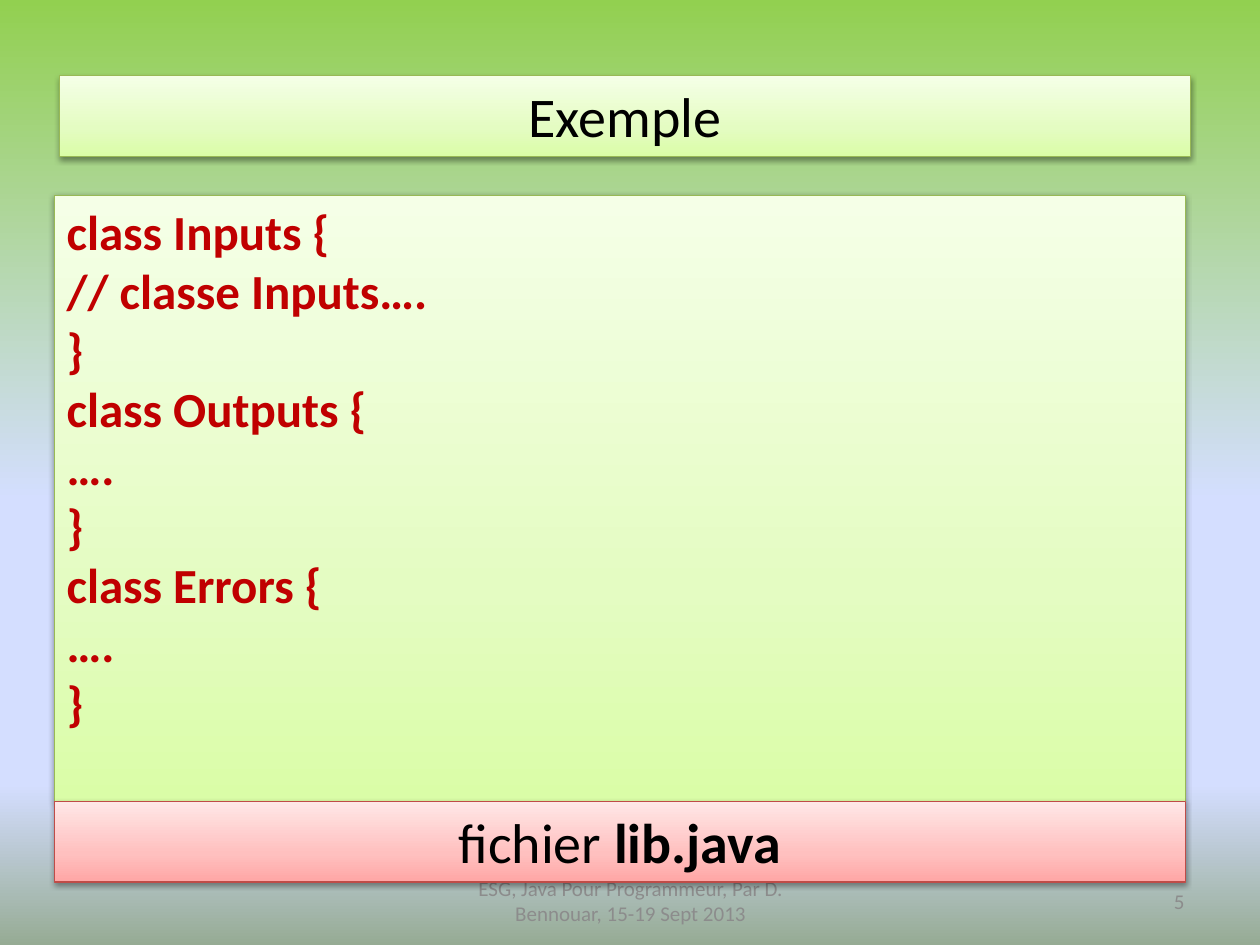
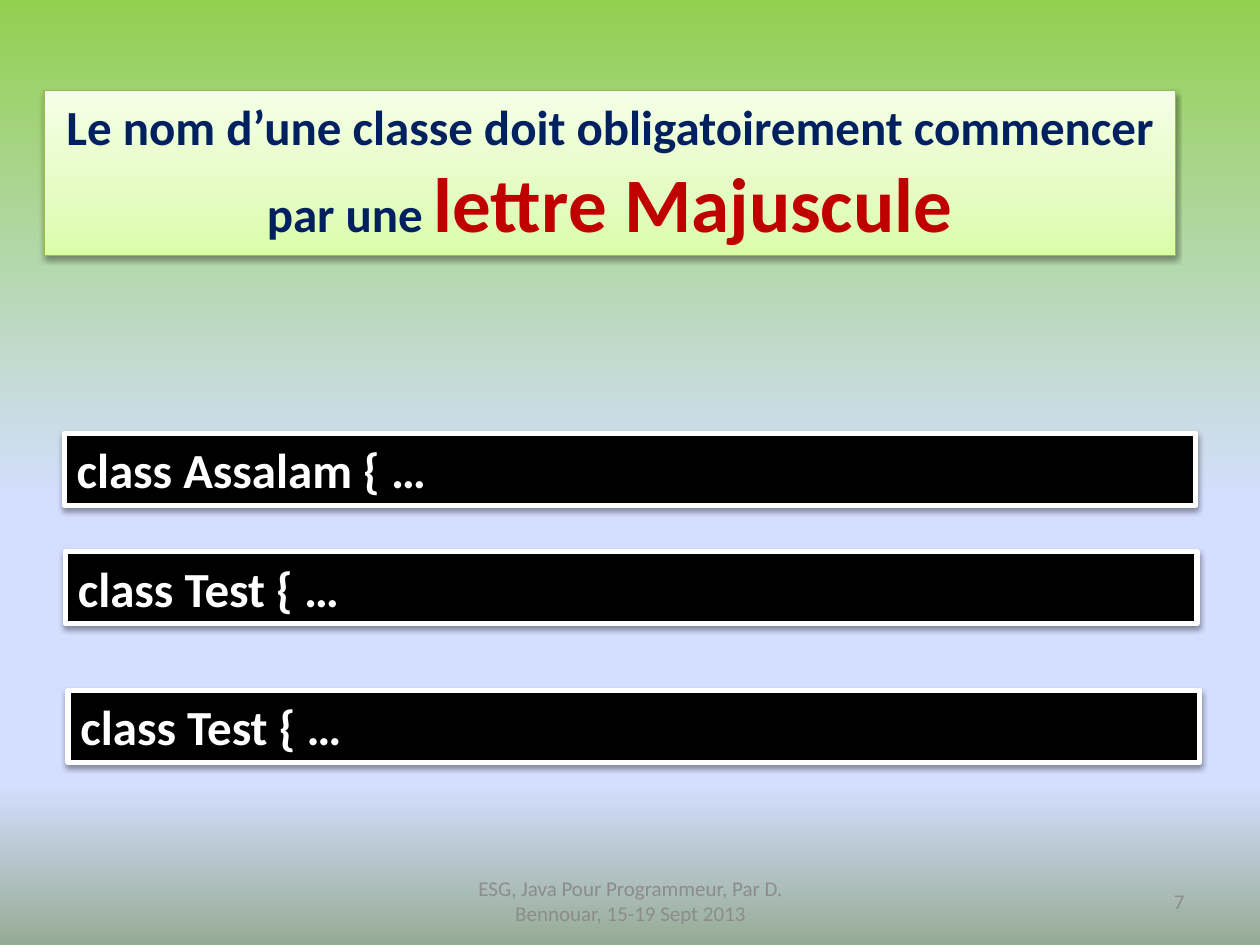
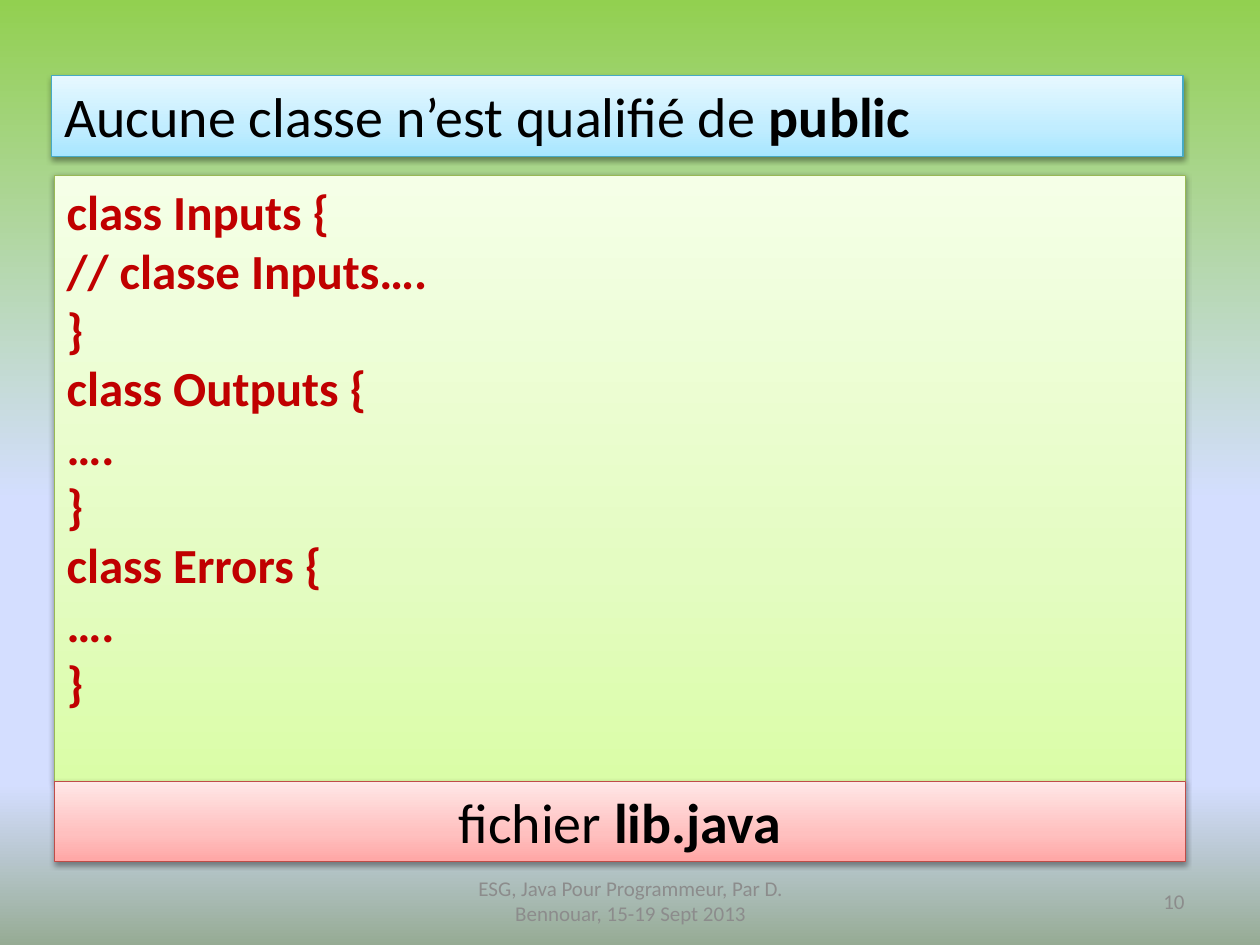
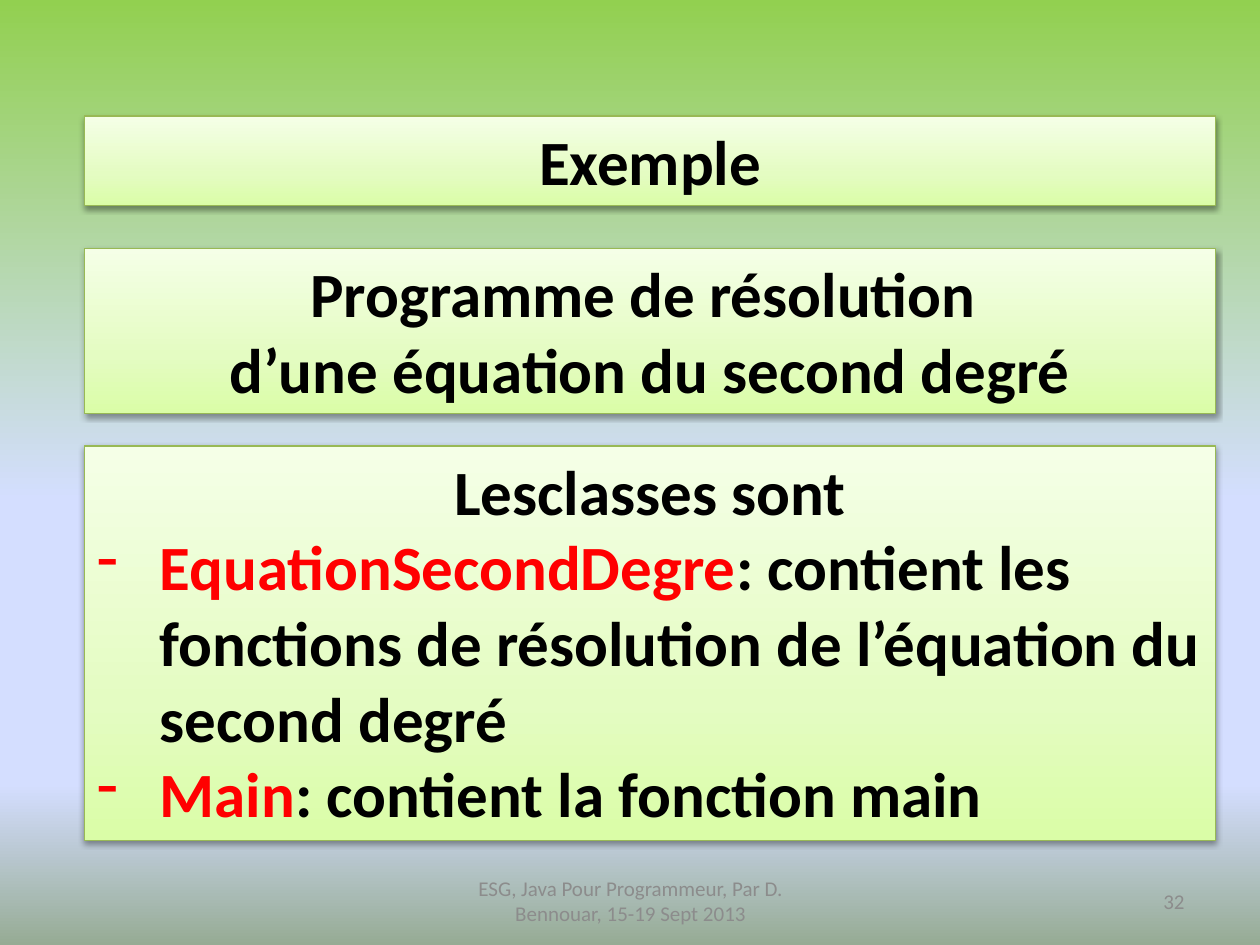
import pptx
import pptx.dml.color
import pptx.enum.shapes
import pptx.enum.text
import pptx.oxml
import pptx.oxml.ns
import pptx.util
from lxml import etree

Inches, Pt = pptx.util.Inches, pptx.util.Pt
RGBColor = pptx.dml.color.RGBColor
Align = pptx.enum.text.PP_ALIGN
Anchor = pptx.enum.text.MSO_ANCHOR
AutoSize = pptx.enum.text.MSO_AUTO_SIZE
qn = pptx.oxml.ns.qn

FONT = "Calibri"
FOOTER = "ESG, Java Pour Programmeur, Par D. Bennouar, 15-19 Sept 2013"
BOX_WIDTH = 8.98
COLORS = {
    "black": "000000", "white": "FFFFFF", "grey": "8C8C8C", "navy": "002060",
    "dark_red": "C00000", "red": "FF0000",
    "green_line": "98B955", "pink_line": "BF4C48", "blue_line": "46AAC5",
}
# Gradient stops: position in percent, colour
BACKGROUND = [(0, "92D050"), (53, "D4DEFF"), (83, "D4DEFF"), (100, "96AB94")]
# Box style: gradient stops (None for solid black), line colour, line width
STYLES = {
    "green": ([(0, "DAFDA7"), (35, "E4FCC2"), (100, "F5FFE7")], "green_line", 0.75),
    "pink": ([(0, "FFA6A5"), (35, "FFC0BF"), (100, "FFE7E7")], "pink_line", 0.75),
    "blue": ([(0, "A7E6FF"), (35, "C1EDFF"), (100, "E7F8FF")], "blue_line", 0.75),
    "black": (None, "white", 3),
}
SHADOW = (
    '<a:outerShdw xmlns:a="http://schemas.openxmlformats.org/drawingml/2006/main" '
    'blurRad="40000" dist="20000" dir="5400000" rotWithShape="0">'
    '<a:srgbClr val="000000"><a:alpha val="38000"/></a:srgbClr></a:outerShdw>'
)


def set_gradient(fill, element, stops, angle):
    """Fill with the stops; the angle runs counter-clockwise."""
    fill.gradient()
    fill.gradient_angle = angle
    stop_list = next(element.iter(qn("a:gsLst")))
    for stop in list(stop_list):
        stop_list.remove(stop)
    for position, color in stops:
        stop = etree.SubElement(stop_list, qn("a:gs"), pos=str(position * 1000))
        etree.SubElement(stop, qn("a:srgbClr"), val=color)


def write_text(shape, paragraphs, size, color="black", bold=False,
               align=Align.LEFT, anchor=Anchor.TOP):
    """Write paragraphs, each a string or a list of (text, run changes)."""
    frame = shape.text_frame
    frame.word_wrap = True
    frame.vertical_anchor = anchor
    for index, runs in enumerate(paragraphs):
        paragraph = frame.add_paragraph() if index else frame.paragraphs[0]
        bulleted = isinstance(runs, tuple)
        paragraph.alignment = Align.LEFT if bulleted else align
        if bulleted:
            properties = paragraph._p.get_or_add_pPr()
            properties.set("marL", str(Inches(0.5)))
            properties.set("indent", str(-Inches(0.5)))
            etree.SubElement(properties, qn("a:buChar"), char="-")
        paragraph.font.name = FONT
        paragraph.font.size = Pt(size)
        paragraph.font.bold = bold
        paragraph.font.color.rgb = RGBColor.from_string(COLORS[color])
        for text, changes in [(runs, {})] if isinstance(runs, str) else runs:
            run = paragraph.add_run()
            run.text = text
            if "size" in changes:
                run.font.size = Pt(changes["size"])
            if "bold" in changes:
                run.font.bold = changes["bold"]
            if "color" in changes:
                run.font.color.rgb = RGBColor.from_string(COLORS[changes["color"]])


# Text shared by the boxes
code_lines = ["class Inputs {", "// classe Inputs….", "}",
              "class Outputs {", "….", "}",
              "class Errors {", "….", "}"]
file_label = [[("fichier ", {}), ("lib.java", {"bold": True})]]
code_font = {"size": 28, "color": "dark_red", "bold": True}
bar_font = {"size": 28, "color": "white", "bold": True}
label_font = {"size": 32, "align": Align.CENTER}
heading_font = {"size": 36, "bold": True, "align": Align.CENTER}

# Slides: number, then boxes as left, top, height, style, paragraphs, font
slides = [
    (5, [
        (0.47, 0.6, 0.64, "green", ["Exemple"], label_font),
        (0.43, 1.55, 4.81, "green", code_lines, code_font),
        (0.43, 6.36, 0.64, "pink", file_label, label_font),
    ]),
    (7, [
        (0.35, 0.72, 1.31, "green",
         [[("Le nom d’une classe doit obligatoirement commencer par une ", {}),
           ("lettre Majuscule", {"size": 44, "color": "dark_red"})]],
         {"size": 28, "color": "navy", "bold": True, "align": Align.CENTER}),
        (0.51, 3.44, 0.57, "black", ["class Assalam { …"], bar_font),
        (0.52, 4.38, 0.57, "black", ["class Test { …"], bar_font),
        (0.54, 5.48, 0.57, "black", ["class Test { …"], bar_font),
    ]),
    (10, [
        (0.43, 1.39, 4.81, "green", code_lines, code_font),
        (0.43, 6.2, 0.64, "pink", file_label, label_font),
        (0.41, 0.6, 0.64, "blue",
         [[("Aucune classe n’est qualifié de ", {}), ("public", {"bold": True})]],
         {"size": 32}),
    ]),
    (32, [
        (0.67, 0.92, 0.71, "green", ["Exemple"], heading_font),
        (0.67, 1.97, 1.31, "green",
         ["Programme de résolution ", "d’une équation du second degré"], heading_font),
        # Tuples of runs are bulleted paragraphs
        (0.67, 3.54, 3.13, "green",
         ["Lesclasses sont",
          (("EquationSecondDegre", {"color": "red"}),
           (": contient les fonctions de résolution de l’équation du second degré", {})),
          (("Main", {"color": "red"}), (": contient la fonction main", {}))],
         heading_font),
    ]),
]

presentation = pptx.Presentation()
presentation.slide_width = Inches(10)
presentation.slide_height = Inches(7.5)

for number, boxes in slides:
    slide = presentation.slides.add_slide(presentation.slide_layouts[6])
    set_gradient(slide.background.fill, slide.element, BACKGROUND, 270)

    # Footer and slide number
    for left, width, text, align in [(3.42, 3.17, FOOTER, Align.CENTER),
                                     (7.17, 2.33, str(number), Align.RIGHT)]:
        footer = slide.shapes.add_textbox(
            Inches(left), Inches(6.95), Inches(width), Inches(0.4))
        write_text(footer, [text], 12, "grey", align=align, anchor=Anchor.MIDDLE)

    # Boxes
    for left, top, height, style, paragraphs, font in boxes:
        stops, line_color, line_width = STYLES[style]
        box = slide.shapes.add_shape(
            pptx.enum.shapes.MSO_SHAPE.RECTANGLE,
            Inches(left), Inches(top), Inches(BOX_WIDTH), Inches(height))
        if stops:
            set_gradient(box.fill, box.element, stops, 90)
        else:
            box.fill.solid()
            box.fill.fore_color.rgb = RGBColor.from_string(COLORS["black"])
        box.line.color.rgb = RGBColor.from_string(COLORS[line_color])
        box.line.width = Pt(line_width)
        box.shadow.inherit = False
        effects = next(box.element.iter(qn("a:effectLst")))
        effects.append(pptx.oxml.parse_xml(SHADOW))
        write_text(box, paragraphs, **font)
        # The code panel keeps free room below its last line
        box.text_frame.auto_size = (
            AutoSize.NONE if paragraphs is code_lines else AutoSize.SHAPE_TO_FIT_TEXT)

presentation.save("out.pptx")
